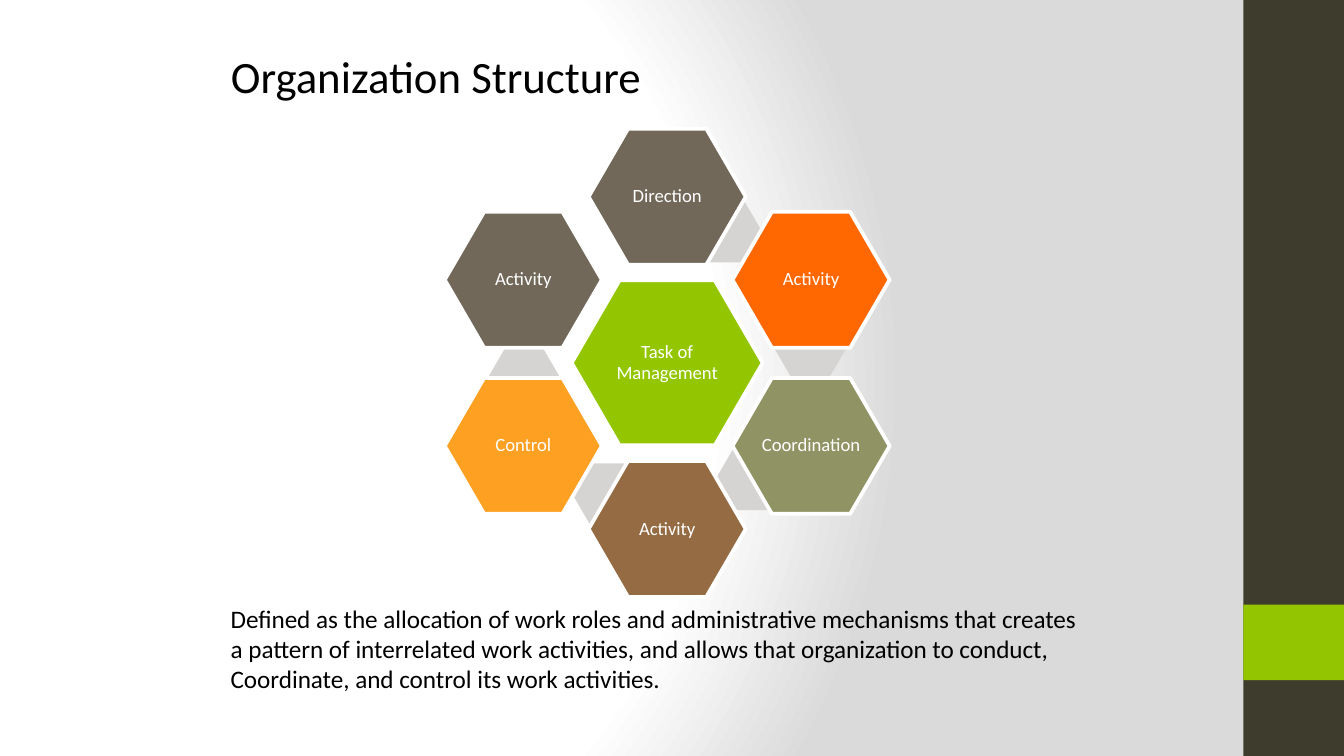
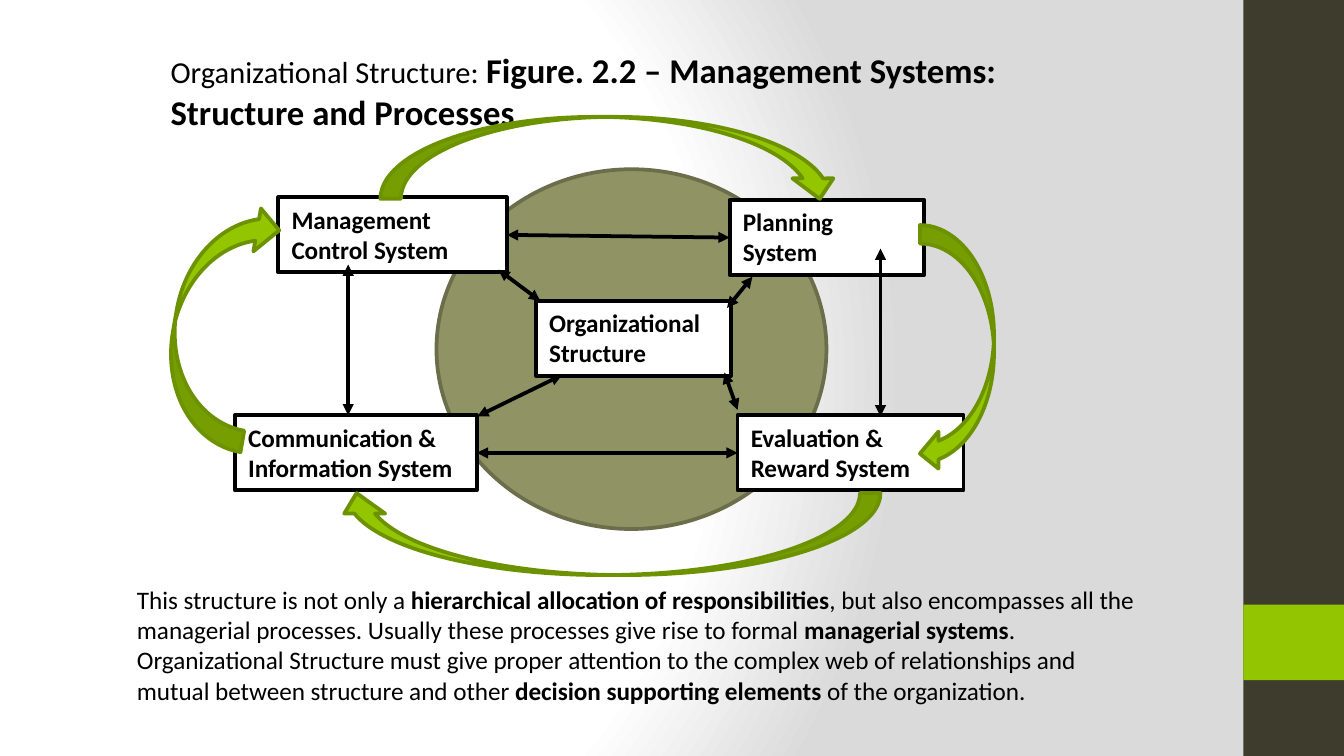
import dataclasses
import math

import pptx
import pptx.dml.color
import pptx.enum.shapes
import pptx.enum.text
import pptx.oxml
import pptx.oxml.ns
import pptx.util

Cm, Pt = pptx.util.Cm, pptx.util.Pt
SHAPE = pptx.enum.shapes.MSO_SHAPE
ANCHOR = pptx.enum.text.MSO_ANCHOR
ALIGN = pptx.enum.text.PP_ALIGN
AUTO_SIZE = pptx.enum.text.MSO_AUTO_SIZE


@dataclasses.dataclass(frozen=True)
class Theme:
    font: str = "Calibri"
    text: str = "000000"
    paper: str = "FFFFFF"
    shade: str = "DADADA"
    band: str = "3E3D2D"
    accent: str = "94C600"
    accent_line: str = "6D9200"
    olive: str = "909465"
    olive_line: str = "6B6D4B"
    bridge: str = "D5D4D2"
    taupe: str = "71685A"
    orange: str = "FF6700"
    brown: str = "956B43"
    amber: str = "FEA022"
    title_size: float = 24
    prefix_size: float = 16.3
    figure_size: float = 18.6
    body_size: float = 13.5
    node_size: float = 10
    line_width: float = 2


THEME = Theme()
SLIDE_WIDTH, SLIDE_HEIGHT = 25.4, 14.29
INSETS = ("margin_left", "margin_top", "margin_right", "margin_bottom")


def rgb(code):
    return pptx.dml.color.RGBColor.from_string(code)


def apply_format(target, **values):
    for name, value in values.items():
        setattr(target, name, value)


def add_runs(paragraph, runs, size, color=THEME.text):
    """Add (text, format) pairs; the format overrides the given size."""
    for text, values in runs:
        run = paragraph.add_run()
        run.text = text
        run.font.color.rgb = rgb(color)
        apply_format(run.font, **{"name": THEME.font, "size": Pt(size), **values})


def add_box(slide, kind, box, fill, line=None):
    shape = slide.shapes.add_shape(kind, *(Cm(length) for length in box))
    shape.shadow.inherit = False
    shape.fill.solid()
    shape.fill.fore_color.rgb = rgb(fill)
    if line:
        shape.line.color.rgb = rgb(line)
        shape.line.width = Pt(THEME.line_width)
    else:
        shape.line.fill.background()
    return shape


def add_title(slide, box, runs):
    title = slide.shapes.title
    lengths = (Cm(length) for length in box)
    apply_format(title, **dict(zip(("left", "top", "width", "height"), lengths)))
    apply_format(title.text_frame, vertical_anchor=ANCHOR.TOP, word_wrap=True,
                 auto_size=AUTO_SIZE.NONE)
    paragraph = title.text_frame.paragraphs[0]
    paragraph.alignment = ALIGN.LEFT
    add_runs(paragraph, runs, THEME.title_size)


def add_body(slide, box, paragraphs, wrap):
    frame = slide.shapes.add_textbox(*(Cm(length) for length in box)).text_frame
    apply_format(frame, word_wrap=wrap, auto_size=AUTO_SIZE.SHAPE_TO_FIT_TEXT)
    for index, runs in enumerate(paragraphs):
        paragraph = frame.add_paragraph() if index else frame.paragraphs[0]
        add_runs(paragraph, runs, THEME.body_size)


def set_background(master):
    master.background.fill.solid()
    stops = "".join(
        f'<a:gs pos="{position}"><a:srgbClr val="{color}"/></a:gs>'
        for position, color in ((0, THEME.paper), (75000, THEME.paper), (100000, THEME.shade)))
    gradient = pptx.oxml.parse_xml(
        f'<a:gradFill {pptx.oxml.ns.nsdecls("a")} rotWithShape="1"><a:gsLst>{stops}</a:gsLst>'
        '<a:path path="circle"><a:fillToRect l="20000" t="50000" r="100000" b="50000"/></a:path>'
        '</a:gradFill>')
    solid = master.element.find(".//" + pptx.oxml.ns.qn("p:bgPr"))[0]
    solid.getparent().replace(solid, gradient)


def add_master_bands(master, slide, box):
    """Draw the side bands on a slide, then move them to the back of the master."""
    left, top, width, height = box
    bands = ((top, height, THEME.band), (top + 11.43, 1.43, THEME.accent))
    for index, (band_top, band_height, color) in enumerate(bands):
        band = add_box(slide, SHAPE.RECTANGLE, (left, band_top, width, band_height), color)
        band.element.nvSpPr.cNvPr.set("id", str(100 + index))
        master.element.cSld.spTree.insert(2 + index, band.element)


def add_hexagon(slide, center, size, fill, line=None, label=None):
    (x, y), (width, height) = center, size
    hexagon = add_box(slide, SHAPE.HEXAGON,
                      (x - width / 2, y - height / 2, width, height), fill, line)
    hexagon.adjustments[0] = 0.29
    if label:
        frame = hexagon.text_frame
        apply_format(frame, word_wrap=True, vertical_anchor=ANCHOR.MIDDLE,
                     **dict.fromkeys(INSETS, Cm(0.03)))
        paragraph = frame.paragraphs[0]
        apply_format(paragraph, alignment=ALIGN.CENTER, line_spacing=0.9)
        add_runs(paragraph, [(label, {})], THEME.node_size, THEME.paper)


def add_task_wheel(slide, box):
    """Ring of hexagons, clockwise from the top, around a central one."""
    left, top, width, height = box
    center_x, center_y = left + width / 2, top + height / 2
    nodes = (("Direction", THEME.taupe), ("Activity", THEME.orange),
             ("Coordination", THEME.olive), ("Activity", THEME.brown),
             ("Control", THEME.amber), ("Activity", THEME.taupe))

    def on_ring(radius, degrees):
        angle = math.radians(degrees)
        return center_x + radius * math.sin(angle), center_y - radius * math.cos(angle)

    add_hexagon(slide, (center_x, center_y), (3.61, 3.12), THEME.accent, THEME.paper,
                "Task of Management")
    step = 360 / len(nodes)
    for index, (label, color) in enumerate(nodes):
        if index < len(nodes) - 1:
            add_hexagon(slide, on_ring(2.72, 24 + index * step), (1.37, 1.17), THEME.bridge)
        add_hexagon(slide, on_ring(3.14, index * step), (2.97, 2.57), color, THEME.paper, label)


def add_system(slide, label, box):
    system = add_box(slide, SHAPE.RECTANGLE, box, THEME.paper, THEME.text)
    apply_format(system.text_frame, word_wrap=True, vertical_anchor=ANCHOR.TOP,
                 auto_size=AUTO_SIZE.SHAPE_TO_FIT_TEXT)
    paragraph = system.text_frame.paragraphs[0]
    paragraph.alignment = ALIGN.LEFT
    add_runs(paragraph, [(label, {"bold": True})], THEME.body_size)
    return system


def add_two_way_arrow(slide, start=(0, 0), end=(0, 0)):
    arrow = slide.shapes.add_connector(pptx.enum.shapes.MSO_CONNECTOR.STRAIGHT,
                                       *(Cm(length) for length in (*start, *end)))
    arrow.line.color.rgb = rgb(THEME.text)
    arrow.line.width = Pt(THEME.line_width)
    namespace = pptx.oxml.ns.nsdecls("a")
    properties = arrow.element.spPr
    for tag in ("headEnd", "tailEnd"):
        properties.ln.append(pptx.oxml.parse_xml(f'<a:{tag} {namespace} type="triangle"/>'))
    properties.append(pptx.oxml.parse_xml(f"<a:effectLst {namespace}/>"))
    return arrow


def add_systems_diagram(slide, origin):
    left, top = origin

    def shifted(x, y, *size):
        return (left + x, top + y, *size)

    add_box(slide, SHAPE.OVAL, shifted(4.25, 1.2, 7.37, 6.8), THEME.olive, THEME.olive_line)
    height = 1.42
    control, planning, reward, communication, _ = [
        add_system(slide, label, shifted(x, y, width, height))
        for label, x, y, width in (
            ("Management Control System", 1.26, 1.73, 4.32),
            ("Planning System", 9.79, 1.78, 3.68),
            ("Evaluation & Reward System", 9.94, 5.85, 4.27),
            ("Communication & Information System", 0.44, 5.85, 4.57),
            ("Organizational Structure", 6.13, 3.69, 3.68))]

    for start, end in (((5.42, 3.1), (6.21, 3.69)), ((5.02, 5.87), (6.62, 5.09)),
                       ((10.22, 3.23), (9.74, 3.82)), ((9.69, 5.04), (9.94, 5.75)),
                       ((2.58, 3), (2.58, 5.85)), ((12.64, 2.7), (12.64, 5.87))):
        add_two_way_arrow(slide, shifted(*start), shifted(*end))
    for first, second in ((control, planning), (communication, reward)):
        arrow = add_two_way_arrow(slide)
        arrow.begin_connect(first, 3)
        arrow.end_connect(second, 1)

    for x, y, width, depth, rotation in ((3.19, 0.21, 8.69, 1.55, 0),
                                         (11.75, 3.89, 4.67, 1.4, 90),
                                         (-2.2, 3.28, 4.67, 1.65, 279.9),
                                         (2.35, 7.32, 10.29, 1.55, 180)):
        loop = add_box(slide, SHAPE.CURVED_DOWN_ARROW, shifted(x, y, width, depth),
                       THEME.accent, THEME.accent_line)
        loop.rotation = rotation


def build_structure_slide(slide):
    add_title(slide, (4.11, 0.8, 13.18, 1.27), [("Organization Structure", {})])
    add_task_wheel(slide, (8.4, 2.44, 8.42, 8.84))
    lines = ("Defined as the allocation of work roles and administrative mechanisms that creates",
             "a pattern of interrelated work activities, and allows that organization to conduct,",
             "Coordinate, and control its work activities.")
    add_body(slide, (4.11, 11.28, 16.84, 1.98), [[(line, {})] for line in lines], wrap=False)


def build_systems_slide(slide):
    bold = {"bold": True}
    add_title(slide, (2.97, 0.8, 17.58, 1.57), [
        ("Organizational Structure: ", {"size": Pt(THEME.prefix_size)}),
        ("Figure. 2.2 – Management Systems: Structure and Processes",
         {"size": Pt(THEME.figure_size), **bold})])
    add_systems_diagram(slide, (4, 2))
    add_body(slide, (2.34, 10.92, 19.69, 2.57), [[
        ("This structure is not only a ", {}),
        ("hierarchical allocation of responsibilities", bold),
        (", but also encompasses all the managerial processes. "
         "Usually these processes give rise to formal ", {}),
        ("managerial systems", bold),
        (". Organizational Structure must give proper attention to the complex web of "
         "relationships and mutual between structure and other ", {}),
        ("decision supporting elements ", bold),
        ("of the organization.", {})]], wrap=True)


def main():
    presentation = pptx.Presentation()
    apply_format(presentation, slide_width=Cm(SLIDE_WIDTH), slide_height=Cm(SLIDE_HEIGHT))
    layout = presentation.slide_layouts.get_by_name("Title Only")
    slides = [presentation.slides.add_slide(layout) for _ in range(2)]
    set_background(presentation.slide_master)
    add_master_bands(presentation.slide_master, slides[0], (23.5, 0, 1.9, SLIDE_HEIGHT))
    build_structure_slide(slides[0])
    build_systems_slide(slides[1])
    presentation.save("out.pptx")


if __name__ == "__main__":
    main()
